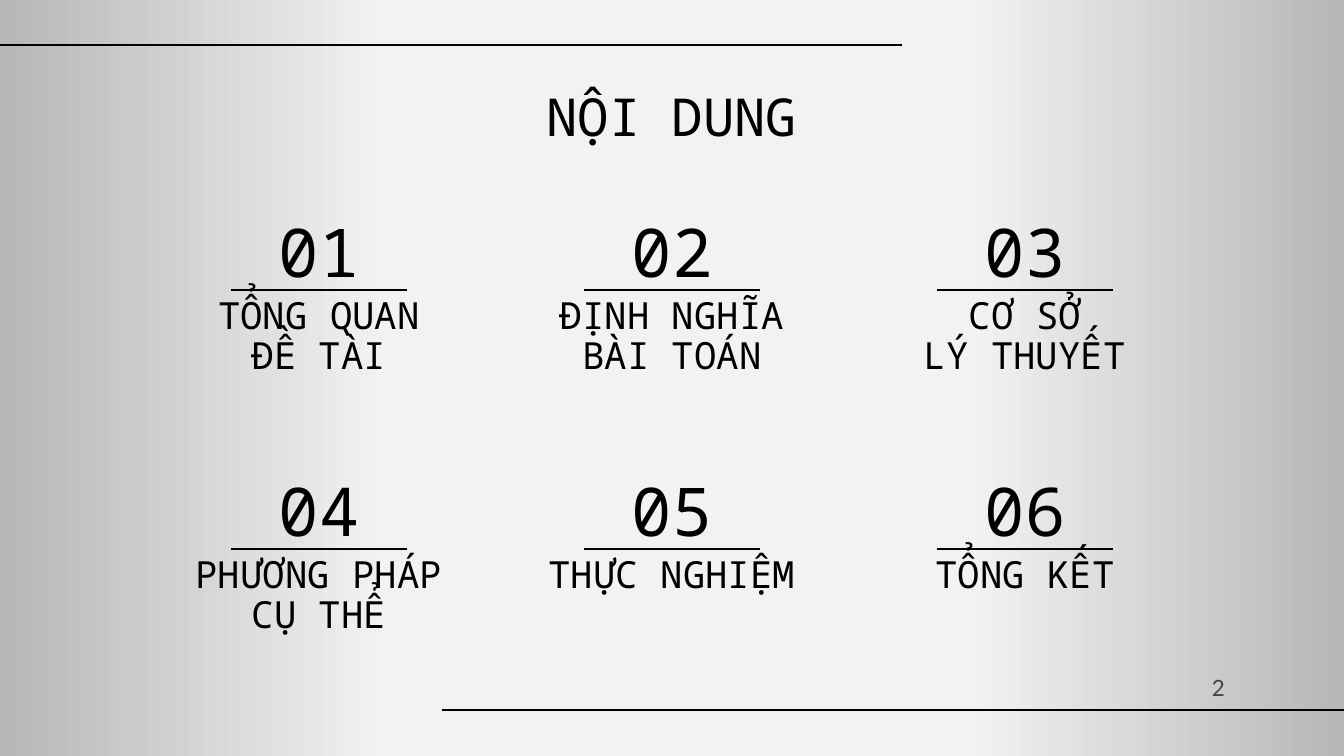
from copy import deepcopy

from lxml.etree import SubElement
from pptx import Presentation
from pptx.dml.color import RGBColor
from pptx.enum.shapes import MSO_CONNECTOR
from pptx.enum.text import MSO_ANCHOR, PP_ALIGN
from pptx.oxml.ns import qn
from pptx.util import Pt

SCALE = 914400 / 134.4  # EMU in one px
WIDTH, HEIGHT = 1344, 756
COLORS = {"ink": "000000", "edge": "B7B7B7", "middle": "F2F2F2", "number": "434343"}
MONO = "Noto Sans Mono"
TOPICS = [
    ["TỔNG QUAN ĐỀ TÀI"],
    ["ĐỊNH NGHĨA BÀI TOÁN"],
    ["CƠ SỞ", "LÝ THUYẾT"],
    ["PHƯƠNG PHÁP", "CỤ THỂ"],
    ["THỰC NGHIỆM"],
    ["TỔNG KẾT"],
]


def px(length):
    return round(length * SCALE)


def add_text(page, box, lines, size, font=MONO, color="ink", align=PP_ALIGN.CENTER,
             anchor=MSO_ANCHOR.TOP, inset=5, spacing=None):
    frame = page.shapes.add_textbox(*map(px, box)).text_frame
    frame.word_wrap = True
    frame.vertical_anchor = anchor
    frame.margin_left = frame.margin_right = px(inset)
    frame.margin_top = frame.margin_bottom = px(5)
    frame.text = "\n".join(lines)
    for para in frame.paragraphs:
        para.alignment = align
        para.line_spacing = spacing
        para.font.size = Pt(size)
        para.font.name = font
        para.font.color.rgb = RGBColor.from_string(COLORS[color])


def add_rule(page, left, top, width):
    rule = page.shapes.add_connector(
        MSO_CONNECTOR.STRAIGHT, px(left), px(top), px(left + width), px(top))
    rule.line.width = Pt(0.75)
    rule.line.color.rgb = RGBColor.from_string(COLORS["ink"])
    SubElement(rule._element.spPr, qn("a:effectLst"))


def paint_background(page):
    fill = page.background.fill
    fill.gradient()
    fill.gradient_angle = 0
    # Two more stops make the light band in the middle
    stop_list = page._element.find(".//" + qn("a:gsLst"))
    for _ in range(2):
        stop_list.append(deepcopy(stop_list[0]))
    stops = [(0, "edge"), (0.29, "middle"), (0.72, "middle"), (1, "edge")]
    for stop, (position, color) in zip(fill.gradient_stops, stops):
        stop.position = position
        stop.color.rgb = RGBColor.from_string(COLORS[color])


def add_frame(page, left, top, width, height):
    rule_width = 902
    add_rule(page, left, top + 45, rule_width)
    add_rule(page, left + width - rule_width, top + height - 46, rule_width)
    add_text(page, (left + 106, top + 79, width - 212, 85), ["NỘI DUNG"], 28)
    add_text(page, (left + 935, top + 668, 303, 40), ["2"], 12, "Lato", "number",
             PP_ALIGN.RIGHT, MSO_ANCHOR.MIDDLE, inset=13)


def add_topic(page, left, top, width, number, lines):
    center = left + width // 2
    add_text(page, (center - 64, top, 128, 78), [f"{number:02}"], 36,
             anchor=MSO_ANCHOR.MIDDLE)
    add_rule(page, center - 88, top + 78, 176)
    add_text(page, (left, top + 80, width, 106), lines, 20, spacing=0.9)


def add_topics(page, left, top, column_step, row_step):
    for index, lines in enumerate(TOPICS):
        row, column = divmod(index, 3)
        add_topic(page, left + column * column_step, top + row * row_step,
                  274, index + 1, lines)


def main():
    deck = Presentation()
    deck.slide_width, deck.slide_height = px(WIDTH), px(HEIGHT)
    page = deck.slides.add_slide(deck.slide_layouts[6])
    paint_background(page)
    add_frame(page, 0, 0, WIDTH, HEIGHT)
    add_topics(page, 182, 212, 353, 259)
    deck.save("out.pptx")


if __name__ == "__main__":
    main()
